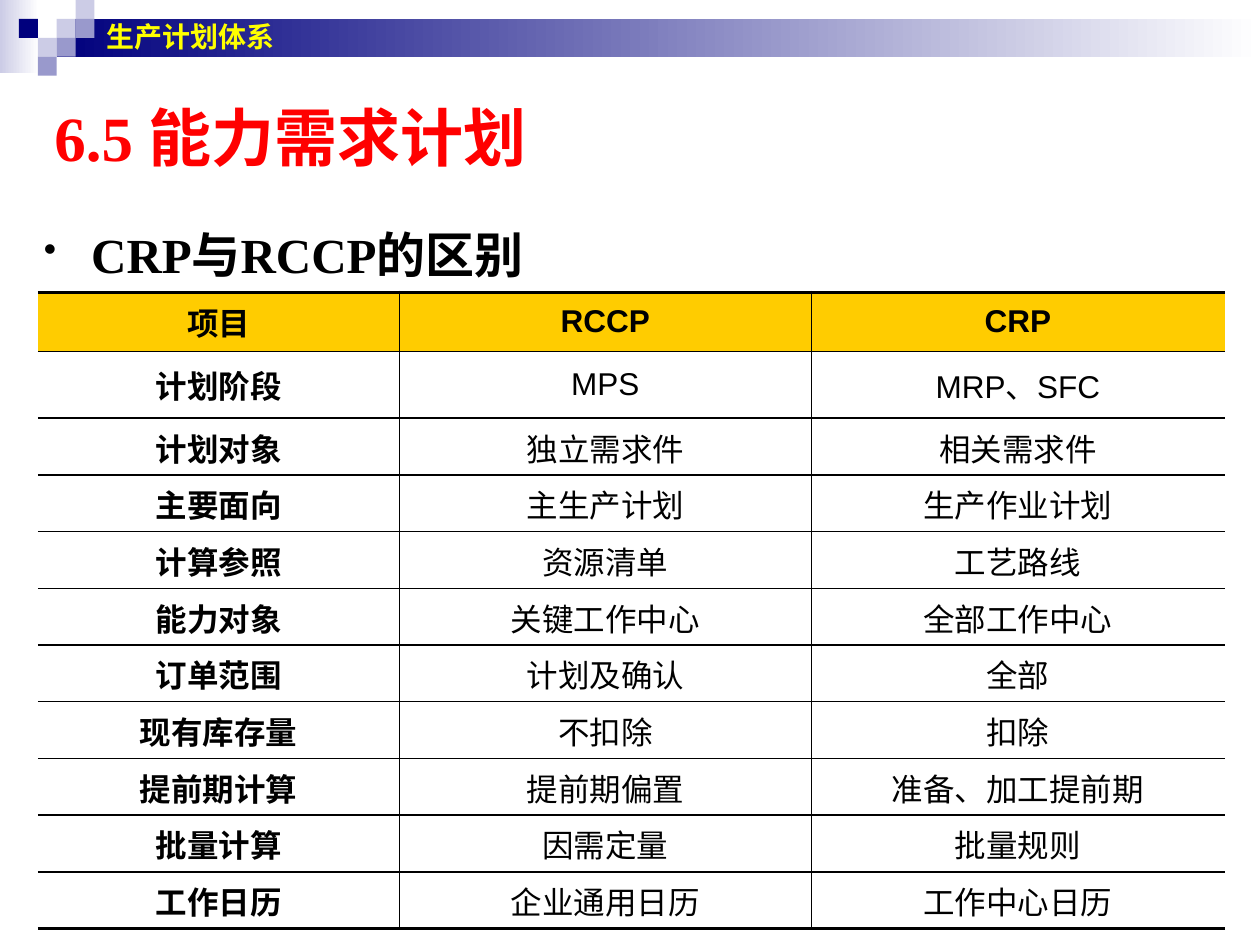
import pptx
import pptx.dml.color
import pptx.enum.shapes
import pptx.enum.text
import pptx.oxml
import pptx.oxml.ns
import pptx.util

Pt = pptx.util.Pt
ALIGN = pptx.enum.text.PP_ALIGN
MIDDLE = pptx.enum.text.MSO_ANCHOR.MIDDLE

NAVY, LILAC, PALE, WHITE = "00007D", "9999CC", "CCCCE6", "FFFFFF"
BLACK, RED, YELLOW, GOLD = "000000", "FF0000", "FFFF00", "FFCC00"

SQUARE = 10.8
SQUARES = [  # column, row, colour on the corner grid
    (3, 1, PALE), (4, 0, PALE), (4, 1, LILAC), (2, 2, PALE),
    (1, 1, NAVY), (3, 2, LILAC), (2, 3, LILAC),
]

COMPARISON = [
    ("项目", "RCCP", "CRP"),
    ("计划阶段", "MPS", "MRP、SFC"),
    ("计划对象", "独立需求件", "相关需求件"),
    ("主要面向", "主生产计划", "生产作业计划"),
    ("计算参照", "资源清单", "工艺路线"),
    ("能力对象", "关键工作中心", "全部工作中心"),
    ("订单范围", "计划及确认", "全部"),
    ("现有库存量", "不扣除", "扣除"),
    ("提前期计算", "提前期偏置", "准备、加工提前期"),
    ("批量计算", "因需定量", "批量规则"),
    ("工作日历", "企业通用日历", "工作中心日历"),
]
COLUMN_WIDTHS = [206.6, 235.4, 236.2]
ROW_HEIGHTS = [33.8, 38.2] + [32.4] * 9


def rgb(colour):
    return pptx.dml.color.RGBColor.from_string(colour)


def write(frame, text, colour, align=ALIGN.LEFT, **font_format):
    frame.word_wrap = True
    paragraph = frame.paragraphs[0]
    paragraph.text = text
    paragraph.alignment = align
    font = paragraph.runs[0].font
    font.color.rgb = rgb(colour)
    for name, value in font_format.items():
        setattr(font, name, value)
    return paragraph


def add_block(slide, left, top, width, height, *colours):
    """Add a borderless rectangle; two colours make a left-to-right gradient."""
    block = slide.shapes.add_shape(
        pptx.enum.shapes.MSO_SHAPE.RECTANGLE, Pt(left), Pt(top), Pt(width), Pt(height))
    block.shadow.inherit = False
    block.line.fill.background()
    if len(colours) == 1:
        block.fill.solid()
        block.fill.fore_color.rgb = rgb(colours[0])
        return
    block.fill.gradient()
    block.fill.gradient_angle = 0
    for position, (stop, colour) in enumerate(zip(block.fill.gradient_stops, colours)):
        stop.position = position
        stop.color.rgb = rgb(colour)


def add_banner(slide):
    add_block(slide, 0, 0, 22.3, 41.8, PALE, WHITE)
    add_block(slide, 32.4, 10.8, 687.6, 21.6, NAVY, WHITE)
    for column, row, colour in SQUARES:
        add_block(slide, column * SQUARE, row * SQUARE, SQUARE, SQUARE, colour)
    chapter = slide.shapes.add_textbox(Pt(54), Pt(0), Pt(635.8), Pt(41.8)).text_frame
    chapter.vertical_anchor = MIDDLE
    write(chapter, "生产计划体系", YELLOW, name="Arial", size=Pt(16), bold=True)


def set_title(slide):
    title = slide.shapes.title
    place = {"left": 23.8, "top": 54, "width": 648, "height": 48.2}
    for name, value in place.items():
        setattr(title, name, Pt(value))
    title.text_frame.vertical_anchor = MIDDLE
    write(title.text_frame, "6.5 能力需求计划", RED,
          name="Times New Roman", size=Pt(36), bold=True)


def add_topic(slide):
    topic = slide.shapes.add_textbox(Pt(18), Pt(108), Pt(666), Pt(426.2))
    paragraph = write(topic.text_frame, "CRP与RCCP的区别", BLACK,
                      name="Times New Roman", size=Pt(28), bold=True)
    paragraph.line_spacing = 1.5
    properties = paragraph._p.get_or_add_pPr()
    properties.set("marL", str(Pt(27)))
    properties.set("indent", str(Pt(-27)))
    namespace = pptx.oxml.ns.nsdecls("a")
    for bullet in (f'<a:buClr {namespace}><a:srgbClr val="{BLACK}"/></a:buClr>',
                   f'<a:buSzPct {namespace} val="75000"/>',
                   f'<a:buChar {namespace} char="•"/>'):
        properties.append(pptx.oxml.parse_xml(bullet))


def set_borders(cell, widths):
    """Draw the L, R, T and B borders in points; zero hides a border."""
    properties = cell._tc.get_or_add_tcPr()
    for side, width in widths.items():
        paint = (f'<a:solidFill><a:srgbClr val="{BLACK}"/></a:solidFill>'
                 if width else "<a:noFill/>")
        properties.append(pptx.oxml.parse_xml(
            f'<a:ln{side} {pptx.oxml.ns.nsdecls("a")} w="{Pt(width)}">{paint}</a:ln{side}>'))


def add_comparison(slide):
    last_row, last_column = len(COMPARISON) - 1, len(COLUMN_WIDTHS) - 1
    table = slide.shapes.add_table(
        len(COMPARISON), len(COLUMN_WIDTHS), Pt(21.6), Pt(167),
        Pt(sum(COLUMN_WIDTHS)), Pt(sum(ROW_HEIGHTS))).table
    table.first_row = table.horz_banding = False
    for column, width in zip(table.columns, COLUMN_WIDTHS):
        column.width = Pt(width)
    for r, (row, height) in enumerate(zip(table.rows, ROW_HEIGHTS)):
        row.height = Pt(height)
        for c, cell in enumerate(row.cells):
            cell.vertical_anchor = MIDDLE
            write(cell.text_frame, COMPARISON[r][c], BLACK, ALIGN.CENTER,
                  name="Arial", size=Pt(18), bold=r == 0 or c == 0)
            set_borders(cell, {
                "L": 1 if c else 0,
                "R": 1 if c < last_column else 0,
                "T": 1 if r else 2.25,
                "B": 1 if r < last_row else 2.25,
            })
            if r == 0:
                cell.fill.solid()
                cell.fill.fore_color.rgb = rgb(GOLD)
            else:
                cell.fill.background()


def main():
    deck = pptx.Presentation()
    deck.slide_width, deck.slide_height = Pt(720), Pt(540)
    slide = deck.slides.add_slide(deck.slide_layouts[5])
    add_banner(slide)
    set_title(slide)
    add_topic(slide)
    add_comparison(slide)
    deck.save("out.pptx")


if __name__ == "__main__":
    main()
